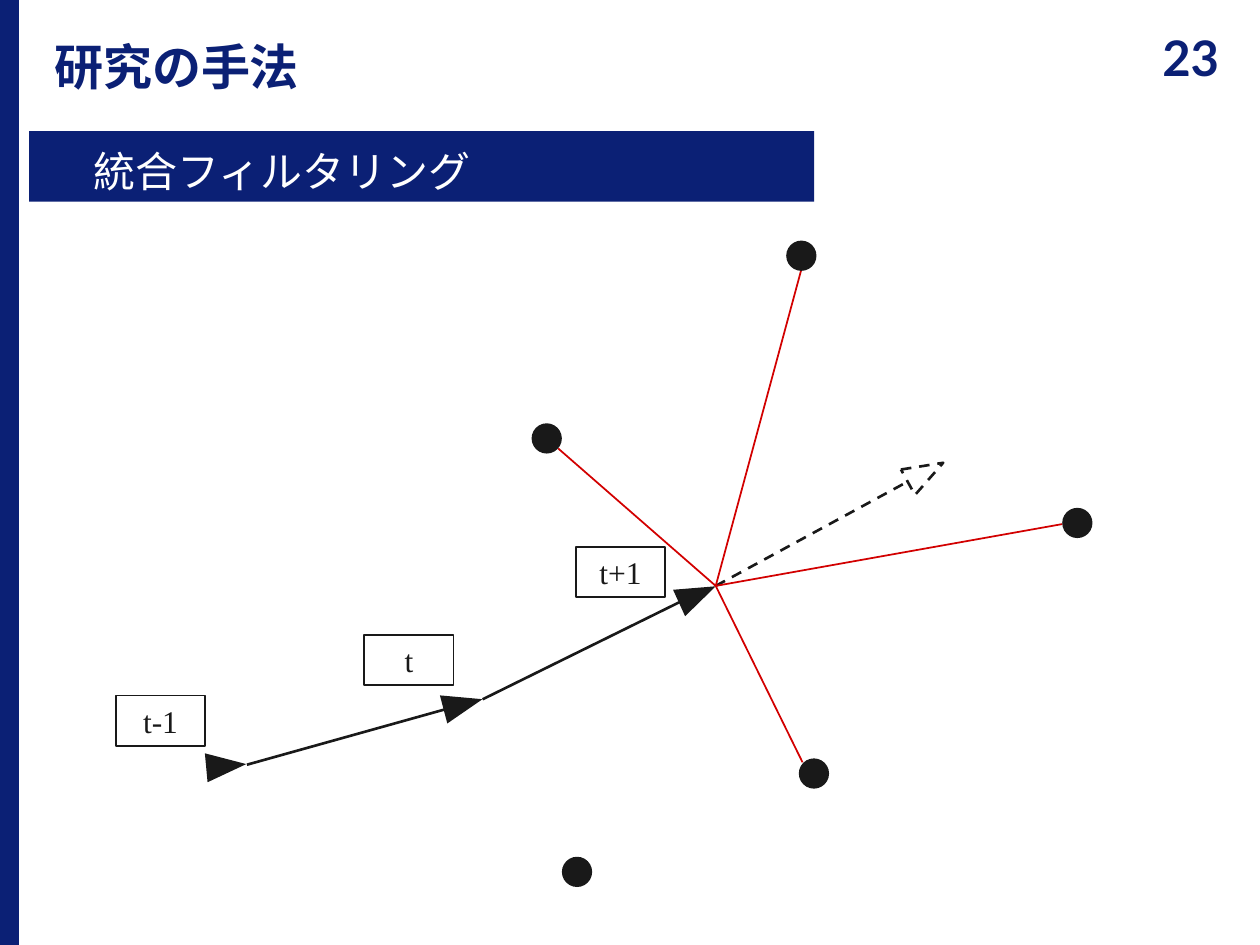
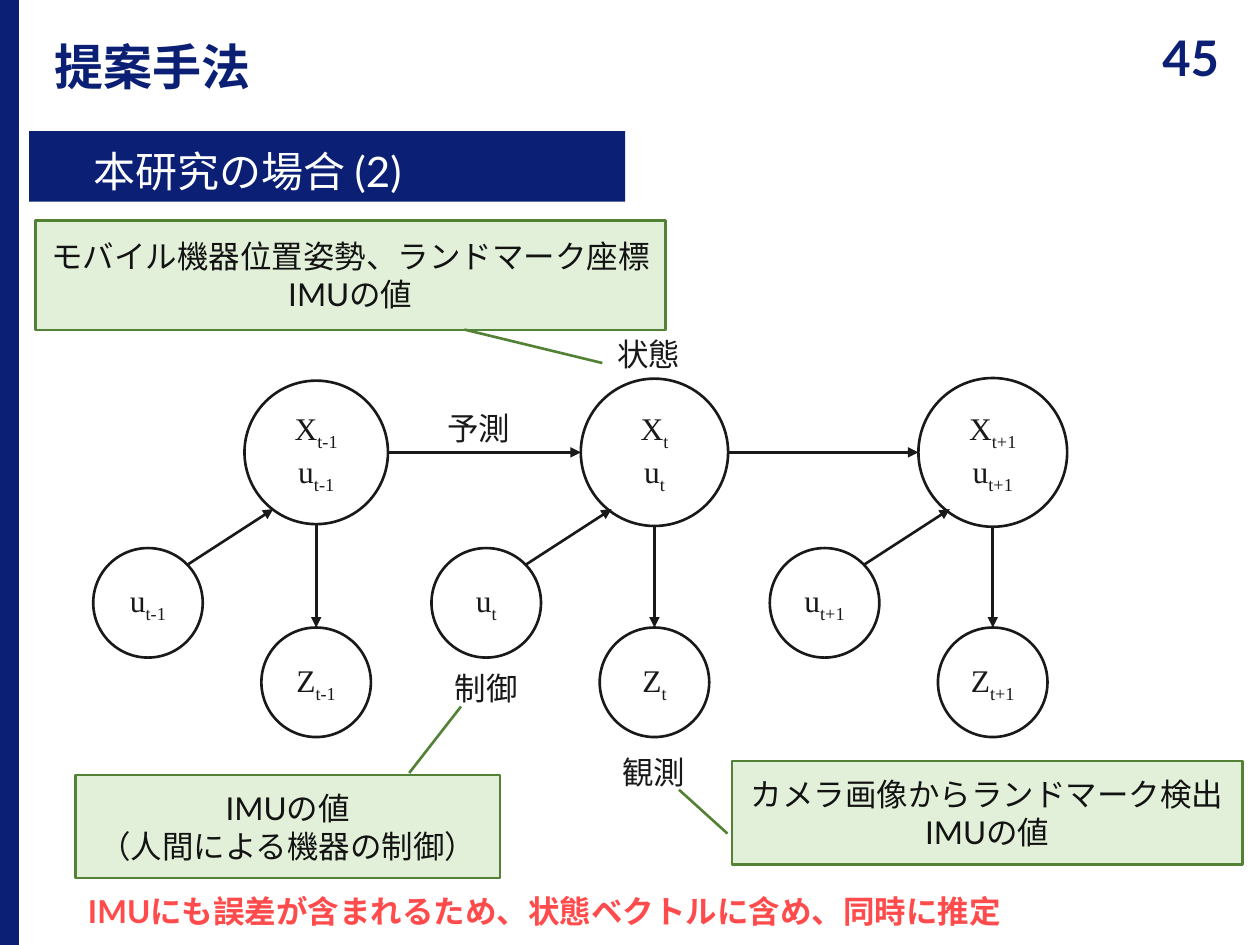
from dataclasses import dataclass

from lxml import etree
from pptx import Presentation
from pptx.dml.color import RGBColor
from pptx.enum.dml import MSO_LINE
from pptx.enum.shapes import MSO_CONNECTOR, MSO_SHAPE
from pptx.enum.text import MSO_ANCHOR, MSO_AUTO_SIZE, PP_ALIGN
from pptx.oxml.ns import qn
from pptx.util import Pt

RECT, OVAL = MSO_SHAPE.RECTANGLE, MSO_SHAPE.OVAL
TRIANGLE, CALLOUT = MSO_SHAPE.ISOSCELES_TRIANGLE, MSO_SHAPE.LINE_CALLOUT_1
STRAIGHT, DASH = MSO_CONNECTOR.STRAIGHT, MSO_LINE.DASH
MIDDLE, TOP = MSO_ANCHOR.MIDDLE, MSO_ANCHOR.TOP
LEFT, CENTER = PP_ALIGN.LEFT, PP_ALIGN.CENTER
FIT, NO_FIT = MSO_AUTO_SIZE.SHAPE_TO_FIT_TEXT, MSO_AUTO_SIZE.NONE


@dataclass(frozen=True)
class Theme:
    navy: RGBColor = RGBColor.from_string("0B2075")
    ink: RGBColor = RGBColor.from_string("191919")
    note_ink: RGBColor = RGBColor.from_string("131313")
    white: RGBColor = RGBColor.from_string("FFFFFF")
    red: RGBColor = RGBColor.from_string("D20000")
    alert: RGBColor = RGBColor.from_string("FF4B4B")
    green: RGBColor = RGBColor.from_string("538135")
    pale: RGBColor = RGBColor.from_string("E2F0D9")
    sans: str = "Lato"
    serif: str = "Times New Roman"
    title: int = 28
    heading: int = 24
    text: int = 18


theme = Theme()


def add_item(slide, kind, box, fill=None, line=None, width=1.5, lines=(),
             font=theme.serif, size=theme.text, color=theme.ink, bold=False,
             align=CENTER):
    box = [Pt(v) for v in box]
    if kind is None:
        sp = slide.shapes.add_textbox(*box)
    else:
        sp = slide.shapes.add_shape(kind, *box)
        sp.shadow.inherit = False
        if fill is None:
            sp.fill.background()
        else:
            sp.fill.solid()
            sp.fill.fore_color.rgb = fill
        if line is None:
            sp.line.fill.background()
        else:
            sp.line.color.rgb = line
            sp.line.width = Pt(width)
    tf = sp.text_frame
    tf.vertical_anchor = TOP if kind is None else MIDDLE
    for i, text in enumerate(lines):
        p = tf.add_paragraph() if i else tf.paragraphs[0]
        p.alignment = align
        base, _, sub = text.partition("_")
        for part in filter(None, (base, sub)):
            r = p.add_run()
            r.text = part
            r.font.name, r.font.size, r.font.bold = font, Pt(size), bold
            r.font.color.rgb = color
        if sub:
            r._r.get_or_add_rPr().set("baseline", "-25000")
    return sp


def add_line(slide, start, end, color=theme.ink, width=1.5, arrow=False):
    c = slide.shapes.add_connector(STRAIGHT, *[Pt(v) for v in (*start, *end)])
    c.line.color.rgb = color
    c.line.width = Pt(width)
    spPr = c._element.spPr
    if arrow:
        etree.SubElement(spPr.find(qn("a:ln")), qn("a:tailEnd"), type="triangle")
    etree.SubElement(spPr, qn("a:effectLst"))
    return c


prs = Presentation()
prs.slide_width, prs.slide_height = Pt(720), Pt(540)

frames = [
    ("23", "研究の手法", "統合フィルタリング", 448.6),
    ("45", "提案手法", "本研究の場合 (2)", 340.6),
]
slides = []
for number, title, heading, band_width in frames:
    slide = prs.slides.add_slide(prs.slide_layouts[1])
    slides.append(slide)
    sp = add_item(slide, None, (640.8, 0, 79.2, 65.5), lines=[number],
                  font=theme.sans, size=theme.title, color=theme.navy, bold=True)
    sp.text_frame.word_wrap = True
    sp.text_frame.vertical_anchor = MIDDLE
    add_item(slide, RECT, (-0.7, 0, 11.5, 540), theme.navy)

    body = slide.placeholders[1]
    body.fill.solid()
    body.fill.fore_color.rgb = theme.navy
    for sp, text, box, insets, size, color, bold in (
        (slide.shapes.title, title, (0, 0, 640.8, 65.5), (31, 14.4, 0, 0),
         theme.title, theme.navy, True),
        (body, heading, (16.6, 74.9, band_width, 40.3), (36.7, 8.6, 7.2, 0),
         theme.heading, theme.white, False),
    ):
        sp.left, sp.top, sp.width, sp.height = [Pt(v) for v in box]
        tf = sp.text_frame
        tf.text = text
        tf.auto_size, tf.vertical_anchor = NO_FIT, MIDDLE
        (tf.margin_left, tf.margin_top,
         tf.margin_right, tf.margin_bottom) = [Pt(v) for v in insets]
        p = tf.paragraphs[0]
        p.alignment, p.line_spacing = LEFT, 0.9
        r = p.runs[0]
        r.font.name, r.font.size, r.font.bold = theme.sans, Pt(size), bold
        r.font.color.rgb = color
    p.space_before = Pt(10)
    pPr = p._p.get_or_add_pPr()
    pPr.set("marL", "0")
    pPr.set("indent", "0")
    etree.SubElement(pPr, qn("a:buNone"))

tracking, model = slides

for x, y, angle in ((121, 426.2, 84.7), (256.3, 391, 75.3), (390.2, 328.3, 65.5)):
    add_item(tracking, TRIANGLE, (x, y, 16.6, 23), theme.ink).rotation = angle
sp = add_item(tracking, TRIANGLE, (520.6, 258.5, 16.6, 23), theme.white, theme.ink)
sp.rotation = 61.1
sp.line.dash_style = DASH

position = (409, 334.8)
add_line(tracking, position, (519.1, 275)).line.dash_style = DASH
add_line(tracking, (141.1, 437), (254.2, 405.4))
add_line(tracking, (275.8, 399.6), (388.1, 344.2))
for landmark in ((319, 256.3), (607, 299.5), (458.6, 435.6), (457.9, 154.1)):
    add_line(tracking, position, landmark, theme.red, 1)

for text, x, y in (("t-1", 66.2, 397.4), ("t", 208.1, 362.9), ("t+1", 329, 312.5)):
    add_item(tracking, RECT, (x, y, 51.1, 28.8), theme.white, theme.ink, 1, [text])
for x, y in ((303.8, 241.9), (321.1, 489.6), (456.5, 433.4), (607, 290.2),
             (449.3, 137.5)):
    add_item(tracking, OVAL, (x, y, 17.3, 17.3), theme.ink)

state_y, node, step = 258.5, 62.6, 193.3
control_y, observed_y = 313.2, 358.6
radii = (41, 42.1, 42.5)
for i, (time, radius) in enumerate(zip(("t-1", "t", "t+1"), radii)):
    x = 180.7 + i * step
    for names, left, top, size in (
        ("Xu", x - radius, state_y - radius, 2 * radius),
        ("Z", x - node / 2, observed_y, node),
        ("u", x - 96.1 - node / 2, control_y, node),
    ):
        add_item(model, OVAL, (left, top, size, size), line=theme.ink,
                 lines=[f"{name}_{time}" for name in names])
    add_line(model, (x, state_y + radius), (x, observed_y), arrow=True)
    add_line(model, (x - 73.4, 322.6), (x - 24.5, 290.9), arrow=True)
    if i:
        add_line(model, (x - step + radii[i - 1], state_y), (x - radius, state_y),
                 arrow=True)

for text, x, y in (("状態", 345.6, 187.9), ("予測", 248.4, 230.4),
                   ("観測", 348.5, 427), ("制御", 252.7, 378.7)):
    sp = add_item(model, None, (x, y, 51.1, 28.8), lines=[text], font=theme.sans,
                  align=LEFT)
    sp.text_frame.word_wrap, sp.text_frame.auto_size = False, FIT

callouts = [
    ((20.2, 126, 360, 62.6), (1.302, 0.9, 0.996, 0.681),
     ["モバイル機器位置姿勢、ランドマーク座標", "IMUの値"]),
    ((418.3, 434.9, 291.6, 59), (0.703, -0.009, 0.278, -0.104),
     ["カメラ画像からランドマーク検出", "IMUの値"]),
    ((43.2, 442.8, 242.6, 59), (-0.019, 0.786, -0.663, 0.908),
     ["IMUの値", "（人間による機器の制御）"]),
]
for box, pointer, lines in callouts:
    sp = add_item(model, CALLOUT, box, theme.pale, theme.green, lines=lines,
                  font=theme.sans, color=theme.note_ink)
    for i, value in enumerate(pointer):
        sp.adjustments[i] = value

sp = add_item(model, None, (43.2, 506.2, 554.4, 28.8),
              lines=["IMUにも誤差が含まれるため、状態ベクトルに含め、同時に推定"],
              font=theme.sans, color=theme.alert, bold=True, align=LEFT)
sp.text_frame.word_wrap, sp.text_frame.auto_size = False, FIT

prs.save("out.pptx")
